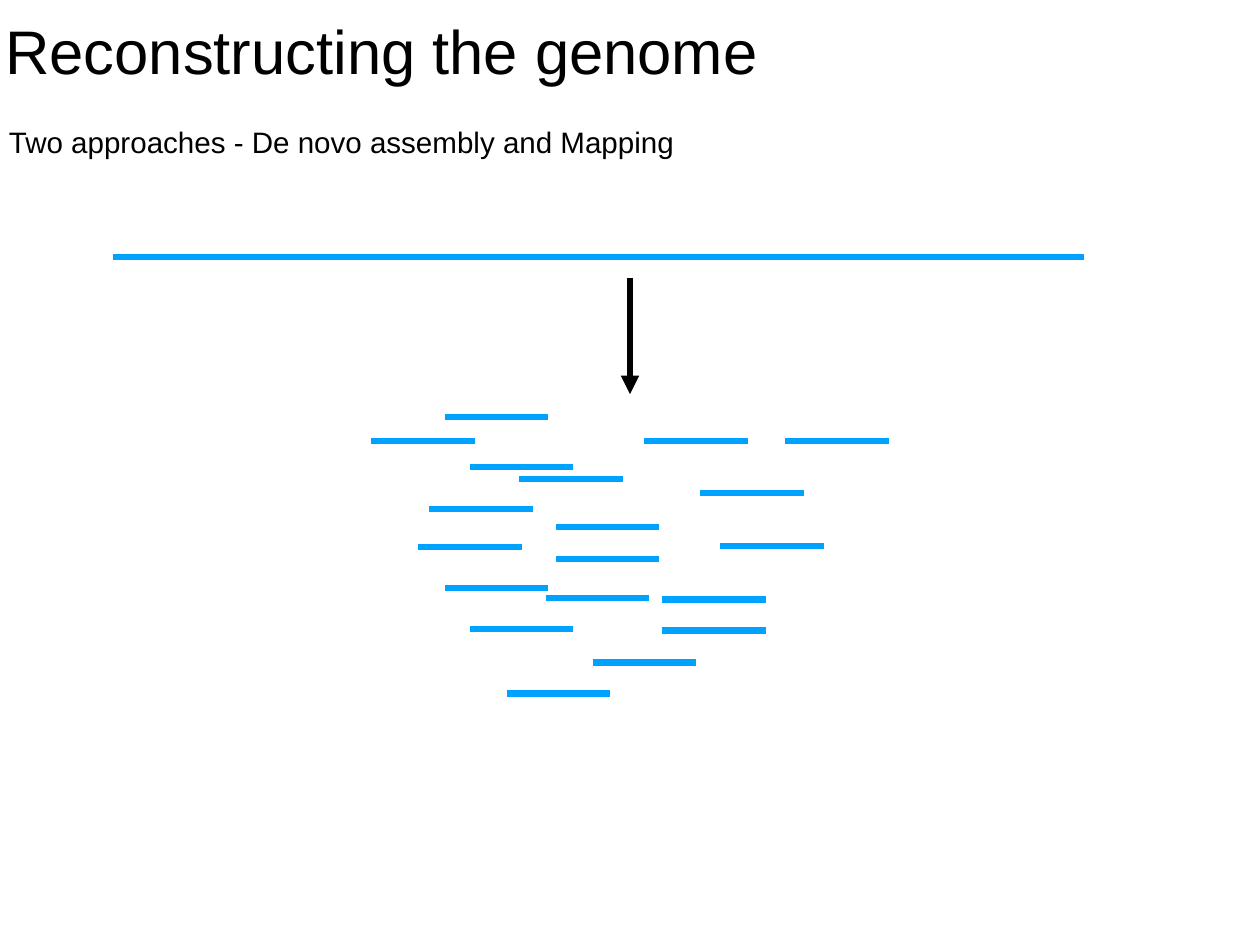
from dataclasses import dataclass
from typing import NamedTuple

from lxml.etree import SubElement
from pptx import Presentation
from pptx.dml.color import RGBColor
from pptx.enum.shapes import MSO_CONNECTOR
from pptx.enum.text import MSO_ANCHOR, MSO_AUTO_SIZE, PP_ALIGN
from pptx.oxml.ns import qn
from pptx.util import Emu, Pt

EMU_PER_PX = 9144  # 100 px to the inch


@dataclass(frozen=True)
class Theme:
    font: str = "Arial"
    ink: RGBColor = RGBColor(0x00, 0x00, 0x00)
    dna: RGBColor = RGBColor(0x00, 0xA2, 0xFF)
    title_size: int = 50
    body_size: int = 24
    stroke: int = 5


class Box(NamedTuple):
    left: int
    top: int
    width: int
    height: int


THEME = Theme()
TEXT_INSET = 6
READ_LENGTH = 117
# Left end and height of every read, measured from the corner of its region
READ_STARTS = [
    (0, 27), (467, 27), (83, 0), (308, 27), (111, 56), (167, 70),
    (371, 86), (65, 104), (208, 124), (53, 147), (394, 146), (208, 160),
    (83, 193), (328, 206), (197, 204), (111, 239), (328, 241),
    (153, 312), (250, 277),
]


def px(length):
    return Emu(length * EMU_PER_PX)


def put_text(placeholder, box, text, *, size, anchor):
    """Move a placeholder to the box and fill it with plain, unbulleted text."""
    placeholder.left, placeholder.top, placeholder.width, placeholder.height = map(px, box)
    frame = placeholder.text_frame
    frame.word_wrap = True
    frame.auto_size = MSO_AUTO_SIZE.NONE
    frame.vertical_anchor = anchor
    frame.margin_left = frame.margin_right = px(TEXT_INSET)
    frame.margin_top = frame.margin_bottom = px(TEXT_INSET)
    frame.text = text
    paragraph = frame.paragraphs[0]
    properties = paragraph._p.get_or_add_pPr()
    properties.set("marL", "0")
    properties.set("indent", "0")
    SubElement(properties, qn("a:buNone"))
    paragraph.alignment = PP_ALIGN.LEFT
    paragraph.space_before = Pt(0)
    font = paragraph.runs[0].font
    font.name, font.size = THEME.font, Pt(size)
    font.color.rgb = THEME.ink


def draw_line(slide, start, end, color, arrow=False):
    line = slide.shapes.add_connector(MSO_CONNECTOR.STRAIGHT, *map(px, start + end))
    line.line.color.rgb = color
    line.line.width = Pt(THEME.stroke)
    if arrow:
        SubElement(line.line._get_or_add_ln(), qn("a:tailEnd"), type="triangle")
    SubElement(line._element.spPr, qn("a:effectLst"))


def draw_genome(slide, box):
    draw_line(slide, (box.left, box.top), (box.left + box.width, box.top), THEME.dna)


def draw_reads(slide, box):
    """Scatter the short fragments of the genome over the box."""
    for across, down in READ_STARTS:
        left, top = box.left + across, box.top + down
        draw_line(slide, (left, top), (left + READ_LENGTH, top), THEME.dna)


def draw_fragmentation_arrow(slide, box):
    draw_line(slide, (box.left, box.top), (box.left, box.top + box.height),
              THEME.ink, arrow=True)


def build_genome_slide(presentation):
    slide = presentation.slides.add_slide(presentation.slide_layouts[1])
    title, approaches = slide.placeholders
    put_text(title, Box(0, 0, 972, 112), "Reconstructing the genome",
             size=THEME.title_size, anchor=MSO_ANCHOR.MIDDLE)
    put_text(approaches, Box(4, 134, 1198, 131),
             "Two approaches - De novo assembly and Mapping",
             size=THEME.body_size, anchor=MSO_ANCHOR.TOP)
    draw_genome(slide, Box(128, 290, 1095, 0))
    draw_reads(slide, Box(419, 471, 584, 312))
    draw_fragmentation_arrow(slide, Box(711, 314, 0, 131))


def main():
    presentation = Presentation()
    presentation.slide_width, presentation.slide_height = px(1422), px(1067)
    build_genome_slide(presentation)
    presentation.save("out.pptx")


if __name__ == "__main__":
    main()
